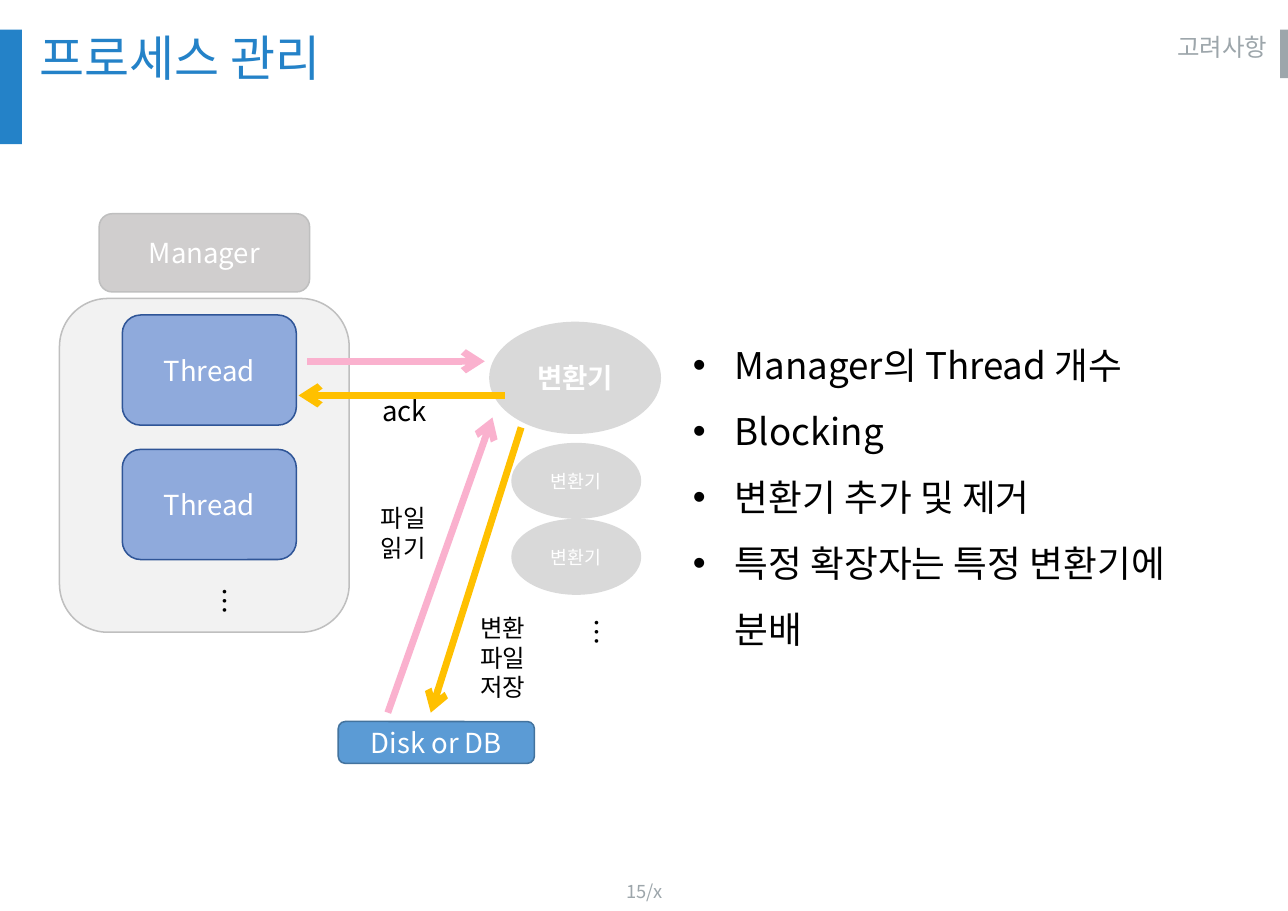
from dataclasses import dataclass

from lxml import etree
from pptx import Presentation
from pptx import util as u
from pptx.dml.color import RGBColor
from pptx.enum import shapes, text
from pptx.oxml.ns import qn

RECT = shapes.MSO_SHAPE.RECTANGLE
ROUND = shapes.MSO_SHAPE.ROUNDED_RECTANGLE
OVAL = shapes.MSO_SHAPE.OVAL
MID = text.MSO_ANCHOR.MIDDLE
CENTER = text.PP_ALIGN.CENTER
RIGHT = text.PP_ALIGN.RIGHT


@dataclass(frozen=True)
class Theme:
    font: str = "Noto Sans CJK KR"
    blue: str = "2482C8"
    gray: str = "9DA6AB"
    black: str = "000000"
    white: str = "FFFFFF"
    panel: str = "F2F2F2"
    edge: str = "BFBFBF"
    boss: str = "D0CECE"
    oval: str = "D9D9D9"
    thread: str = "8FAADC"
    rim: str = "2F5597"
    disk: str = "5B9BD5"
    base: str = "43739E"
    pink: str = "FAB1CE"
    gold: str = "FFC000"
    title: int = 32
    list: int = 24
    body: int = 18
    note: int = 16
    small: int = 12


class Deck:
    def __init__(self, theme):
        self.theme = theme
        self.prs = Presentation()
        self.prs.slide_width = u.Inches(11.69)
        self.prs.slide_height = u.Inches(8.27)
        self.slide = self.prs.slides.add_slide(self.prs.slide_layouts[6])

    def fill_text(self, frame, words, size, color, bold=False, bullet=False,
                  anchor=text.MSO_ANCHOR.TOP, **para):
        """Fill a frame, one paragraph per line; para holds paragraph formats."""
        frame.word_wrap = True
        frame.vertical_anchor = anchor
        for i, line in enumerate(words.split("\n")):
            p = frame.paragraphs[0] if i == 0 else frame.add_paragraph()
            for key, val in para.items():
                setattr(p, key, val)
            if bullet:
                props = p._p.get_or_add_pPr()
                props.set("marL", str(u.Inches(0.38)))
                props.set("indent", str(-u.Inches(0.38)))
                etree.SubElement(props, qn("a:buFont"), typeface="Arial")
                etree.SubElement(props, qn("a:buChar"), char="•")
            run = p.add_run()
            run.text = line
            style = {"name": self.theme.font, "size": u.Pt(size), "bold": bold}
            for key, val in style.items():
                setattr(run.font, key, val)
            run.font.color.rgb = RGBColor.from_string(color)
            east = etree.Element(qn("a:ea"), typeface=self.theme.font)
            run._r.rPr.find(qn("a:latin")).addnext(east)

    def label(self, box, words, size, color, turn=0, **form):
        item = self.slide.shapes.add_textbox(*map(u.Inches, box))
        item.rotation = turn
        self.fill_text(item.text_frame, words, size, color, **form)

    def shape(self, kind, box, fill, line=None, words="", size=0, bold=False):
        item = self.slide.shapes.add_shape(kind, *map(u.Inches, box))
        item.shadow.inherit = False
        item.fill.solid()
        item.fill.fore_color.rgb = RGBColor.from_string(fill)
        if line:
            item.line.color.rgb = RGBColor.from_string(line)
            item.line.width = u.Pt(1)
        else:
            item.line.fill.background()
        if words:
            self.fill_text(item.text_frame, words, size, self.theme.white, bold,
                           anchor=MID, alignment=CENTER)

    def arrow(self, start, end, color):
        item = self.slide.shapes.add_connector(
            shapes.MSO_CONNECTOR.STRAIGHT, *map(u.Inches, start + end))
        item.line.color.rgb = RGBColor.from_string(color)
        item.line.width = u.Pt(4.5)
        props = item._element.spPr
        etree.SubElement(props.find(qn("a:ln")), qn("a:tailEnd"), type="arrow")
        etree.SubElement(props, qn("a:effectLst"))


def frame(deck, t):
    """Draw the side bars, headings and page number."""
    deck.label((5.12, 7.92, 1.46, 0.34), "15/x", t.small, t.gray,
               anchor=MID, alignment=CENTER)
    deck.shape(RECT, (0, 0.27, 0.2, 1.04), t.blue)
    deck.shape(RECT, (11.62, 0.27, 0.07, 0.44), t.gray)
    deck.label((9.12, 0.27, 2.48, 0.44), "고려사항", t.note, t.gray,
               alignment=RIGHT, line_spacing=0.9)
    deck.label((0.26, 0.26, 8.7, 0.7), "프로세스 관리", t.title, t.blue,
               line_spacing=0.9)


def points(deck, t):
    lines = ["Manager의 Thread 개수", "Blocking", "변환기 추가 및 제거",
             "특정 확장자는 특정 변환기에 분배"]
    deck.label((6.19, 2.86, 5.09, 3.13), "\n".join(lines), t.list, t.black,
               bullet=True, line_spacing=1.5)


def flow(deck, t):
    """Draw the manager, its threads, the converters and the disk."""
    deck.shape(ROUND, (0.54, 2.71, 2.63, 3.03), t.panel, t.edge)
    deck.shape(ROUND, (0.9, 1.94, 1.91, 0.71), t.boss, t.edge, "Manager", t.body)
    for top in (2.86, 4.08):
        deck.shape(ROUND, (1.11, top, 1.58, 1), t.thread, t.rim, "Thread", t.body)
    deck.shape(OVAL, (4.44, 2.92, 1.56, 1.02), t.oval, None, "변환기", t.body, True)
    for top in (4.02, 4.71):
        deck.shape(OVAL, (4.64, top, 1.18, 0.69), t.oval, None, "변환기", t.small)
    deck.shape(ROUND, (3.07, 6.55, 1.78, 0.38), t.disk, t.base, "Disk or DB", t.body)

    for box in ((4.97, 5.38, 0.51, 0.79), (1.72, 4.97, 0.26, 0.79)):
        deck.label(box, "…", t.body, t.black, turn=90)

    for start, end, color in (
        ((2.79, 3.28), (4.4, 3.28), t.pink),
        ((4.58, 3.59), (2.71, 3.59), t.gold),
        ((3.52, 6.47), (4.47, 3.79), t.pink),
        ((4.73, 3.88), (3.91, 6.47), t.gold),
    ):
        deck.arrow(start, end, color)

    for box, words, size in (
        ((3.37, 3.53, 0.76, 0.77), "ack", t.body),
        ((3.36, 4.52, 0.76, 0.7), "파일\n읽기", t.note),
        ((4.26, 5.52, 0.76, 0.99), "변환파일 저장", t.note),
    ):
        deck.label(box, words, size, t.black)


def main():
    theme = Theme()
    deck = Deck(theme)
    for draw in (frame, points, flow):
        draw(deck, theme)
    deck.prs.save("out.pptx")


if __name__ == "__main__":
    main()
